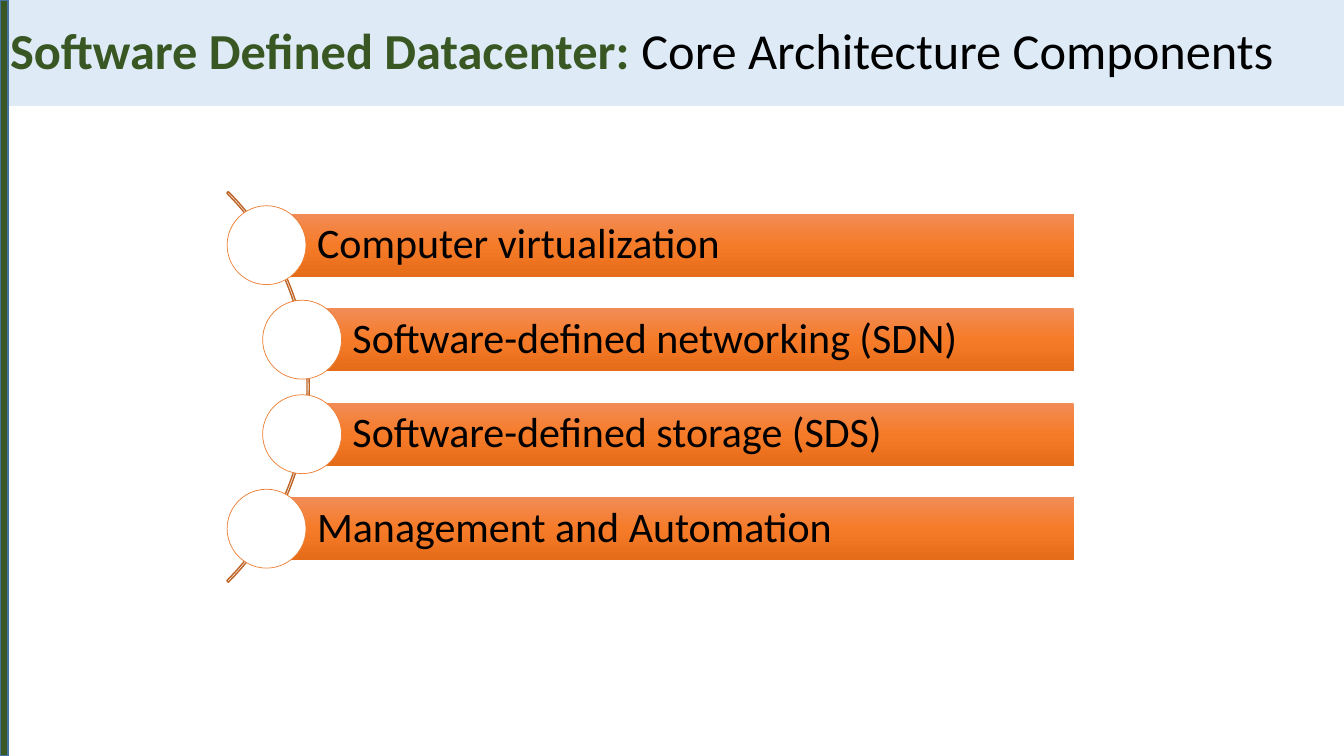
from copy import deepcopy
from dataclasses import dataclass
from math import sqrt

from pptx import Presentation
from pptx.dml.color import RGBColor
from pptx.enum.shapes import MSO_SHAPE
from pptx.enum.text import MSO_ANCHOR, MSO_AUTO_SIZE, PP_ALIGN
from pptx.oxml.ns import qn
from pptx.shapes.autoshape import Shape
from pptx.slide import Slide
from pptx.util import Inches, Pt


@dataclass(frozen=True)
class Theme:
    font: str = "Calibri"
    title_size: int = 36
    component_size: int = 30
    text: str = "000000"
    accent: str = "385723"
    strip_border: str = "43739E"
    banner: str = "DEEBF7"
    spine: str = "BE6427"
    node: str = "FFFFFF"
    node_border: str = "ED7D31"
    bar: tuple[str, ...] = ("F18C57", "F67B28", "E56C19")


@dataclass(frozen=True)
class Area:
    column: float
    row: float
    columns: float
    rows: float

    def lengths(self) -> tuple[int, int, int, int]:
        return (cells(self.column), cells(self.row),
                cells(self.columns), cells(self.rows))


@dataclass(frozen=True)
class Component:
    label: str
    column: float
    row: float


THEME = Theme()
SLIDE_HEIGHT = Inches(7.5)
ROWS = 16
COLUMNS = 28.44
BANNER_ROWS = 2.24
STRIP_COLUMNS = 0.17
ARC_COLUMN, ARC_ROW = 0.7, 8.19
ARC_DIAMETER = 11.69
NODE_RADIUS_FROM_ARC = 5.78
NODE_DIAMETER = 1.67
BAR_ROWS = 1.34
BAR_RIGHT = 22.72
ROW_PITCH = 2
LABELS = (
    "Computer virtualization",
    "Software-defined networking (SDN)",
    "Software-defined storage (SDS)",
    "Management and Automation",
)


def cells(count: float) -> int:
    return round(SLIDE_HEIGHT / ROWS * count)


def rgb(value: str) -> RGBColor:
    return RGBColor.from_string(value)


def place_components() -> list[Component]:
    components = []
    for index, label in enumerate(LABELS):
        offset = (index - (len(LABELS) - 1) / 2) * ROW_PITCH
        reach = sqrt(NODE_RADIUS_FROM_ARC ** 2 - offset ** 2)
        components.append(Component(label, ARC_COLUMN + reach, ARC_ROW + offset))
    return components


def add_outlined(slide: Slide, kind: MSO_SHAPE, area: Area, fill: str | None,
                 border: str, weight: float) -> Shape:
    outlined = slide.shapes.add_shape(kind, *area.lengths())
    outlined.shadow.inherit = False
    if fill is None:
        outlined.fill.background()
    else:
        outlined.fill.solid()
        outlined.fill.fore_color.rgb = rgb(fill)
    outlined.line.color.rgb = rgb(border)
    outlined.line.width = Pt(weight)
    return outlined


def fill_gradient(bar: Shape, colors: tuple[str, ...]) -> None:
    bar.fill.gradient()
    bar.fill.gradient_angle = 270
    stop_list = bar.fill._xPr.find(qn("a:gradFill")).find(qn("a:gsLst"))
    while len(stop_list) < len(colors):
        stop_list.append(deepcopy(stop_list[-1]))
    for index, (stop, color) in enumerate(zip(bar.fill.gradient_stops, colors)):
        stop.color.rgb = rgb(color)
        stop.position = index / (len(colors) - 1)


def add_title(slide: Slide) -> None:
    title = slide.shapes.title
    title.left, title.top, title.width, title.height = Area(
        0, 0, COLUMNS, BANNER_ROWS).lengths()
    title.fill.solid()
    title.fill.fore_color.rgb = rgb(THEME.banner)
    frame = title.text_frame
    frame.auto_size = MSO_AUTO_SIZE.NONE
    frame.vertical_anchor = MSO_ANCHOR.MIDDLE
    heading = frame.paragraphs[0]
    heading.alignment = PP_ALIGN.LEFT
    heading.line_spacing = 0.9
    heading.font.name = THEME.font
    heading.font.size = Pt(THEME.title_size)
    for words, color, bold in (
        ("Software Defined Datacenter: ", THEME.accent, True),
        ("Core Architecture Components", THEME.text, False),
    ):
        part = heading.add_run()
        part.text = words
        part.font.color.rgb = rgb(color)
        part.font.bold = bold


def add_spine(slide: Slide) -> None:
    radius = ARC_DIAMETER / 2
    spine = add_outlined(
        slide, MSO_SHAPE.BLOCK_ARC,
        Area(ARC_COLUMN - radius, ARC_ROW - radius, ARC_DIAMETER, ARC_DIAMETER),
        None, THEME.spine, 1)
    for index, value in enumerate((189, 27, 0.004)):
        spine.adjustments[index] = value


def add_component(slide: Slide, component: Component) -> None:
    bar = slide.shapes.add_shape(MSO_SHAPE.RECTANGLE, *Area(
        component.column, component.row - BAR_ROWS / 2,
        BAR_RIGHT - component.column, BAR_ROWS).lengths())
    bar.shadow.inherit = False
    bar.line.fill.background()
    fill_gradient(bar, THEME.bar)
    frame = bar.text_frame
    frame.word_wrap = True
    frame.vertical_anchor = MSO_ANCHOR.MIDDLE
    frame.margin_left = Inches(0.5)
    frame.margin_top = frame.margin_right = frame.margin_bottom = Inches(0.08)
    label = frame.paragraphs[0]
    label.text = component.label
    label.alignment = PP_ALIGN.LEFT
    label.line_spacing = 0.9
    label.font.name = THEME.font
    label.font.size = Pt(THEME.component_size)
    label.font.color.rgb = rgb(THEME.text)
    radius = NODE_DIAMETER / 2
    add_outlined(
        slide, MSO_SHAPE.OVAL,
        Area(component.column - radius, component.row - radius,
             NODE_DIAMETER, NODE_DIAMETER),
        THEME.node, THEME.node_border, 0.5)


def main() -> None:
    deck = Presentation()
    deck.slide_width = Inches(13.33)
    deck.slide_height = SLIDE_HEIGHT
    slide = deck.slides.add_slide(deck.slide_layouts.get_by_name("Title Only"))
    add_title(slide)
    add_spine(slide)
    for component in place_components():
        add_component(slide, component)
    add_outlined(slide, MSO_SHAPE.RECTANGLE, Area(0, 0, STRIP_COLUMNS, ROWS),
                 THEME.accent, THEME.strip_border, 1)
    deck.save("out.pptx")


if __name__ == "__main__":
    main()
